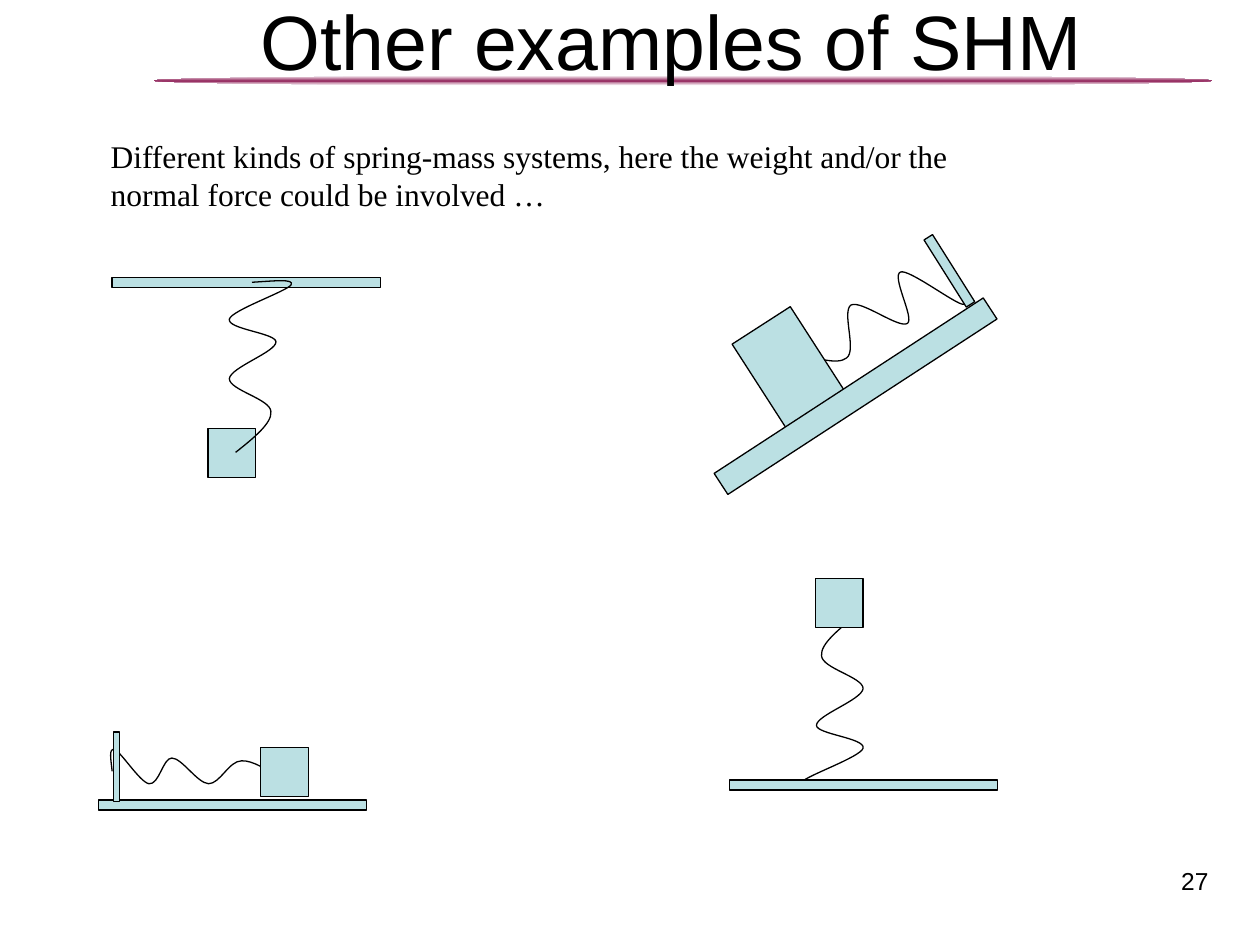
import copy

import pptx
import pptx.dml.color
import pptx.enum.shapes
import pptx.enum.text
import pptx.oxml
import pptx.oxml.ns
import pptx.util

Inches = pptx.util.Inches
Shapes = pptx.enum.shapes.MSO_SHAPE
Align = pptx.enum.text.PP_ALIGN

# Content
TITLE = "Other examples of SHM"
INTRO = ("Different kinds of spring-mass systems, here the weight and/or the "
         "normal force could be involved …")
PAGE_NUMBER = "27"

THEME = {
    "ink": "000000", "body": "BBE0E3", "rule": "993366", "paper": "FFFFFF",
    "heading_font": "Arial", "text_font": "Times New Roman",
    "title": 44, "text": 18, "number": 14, "line": 0.75,
}

# Each system lists its parts from back to front: kind, left, top, width, height, rotation
BEAM = (2.13, 0.08)
MASS = (0.38, 0.39)
COIL = (0.49, 1.35)
SYSTEMS = {
    "incline": [
        ("spring", 6.72, 1.9, *COIL, 56.3),
        ("body", 7.22, 2.11, 0.63, 0.08, 57.8),
        ("body", 5.86, 2.64, 0.79, 0.55, 57.2),
        ("body", 6.69, 1.87, 0.2, 2.55, 56.9),
    ],
    "standing": [
        ("spring", 6.36, 4.88, *COIL, 180),
        ("body", 5.79, 6.19, *BEAM, 0),
        ("body", 6.47, 4.59, *MASS, 0),
    ],
    "floor": [
        ("spring", 1.43, 5.41, 0.27, 1.35, 270),
        ("body", 0.78, 6.35, *BEAM, 0),
        ("body", 0.65, 6.06, 0.55, 0.05, 90),
        ("body", 2.07, 5.93, *MASS, 0),
    ],
    "hanging": [
        ("body", 0.89, 2.2, *BEAM, 0),
        ("body", 1.65, 3.4, *MASS, 0),
        ("spring", 1.82, 2.24, *COIL, 0),
    ],
}

# One spring, from its upper end: start, then (control, control, knot) per bend
SPRING_START = (0.18, 0)
SPRING_BENDS = [
    ((0.35, -0.01), (0.52, -0.03), (0.49, 0.02)),
    ((0.46, 0.07), (0.02, 0.22), (0, 0.29)),
    ((-0.02, 0.37), (0.37, 0.4), (0.37, 0.47)),
    ((0.37, 0.55), (0.01, 0.67), (0, 0.76)),
    ((0, 0.85), (0.33, 0.92), (0.33, 1.02)),
    ((0.34, 1.11), (0.19, 1.23), (0.05, 1.34)),
]


def color(name):
    return pptx.dml.color.RGBColor.from_string(THEME[name])


def inches(point):
    return tuple(Inches(value) for value in point)


def place(shape, left, top, width, height, rotation=0):
    shape.left, shape.top, shape.width, shape.height = inches((left, top, width, height))
    if rotation:
        shape.rotation = rotation


def outline(shape):
    shape.shadow.inherit = False
    shape.line.color.rgb = color("ink")
    shape.line.width = pptx.util.Pt(THEME["line"])


def write(shape, text, font, size, align):
    frame = shape.text_frame
    frame.word_wrap = True
    frame.vertical_anchor = pptx.enum.text.MSO_ANCHOR.TOP
    paragraph = frame.paragraphs[0]
    paragraph.alignment = align
    run = paragraph.add_run()
    run.text = text
    run.font.name = THEME[font]
    run.font.size = pptx.util.Pt(THEME[size])
    run.font.color.rgb = color("ink")


def add_text(slide, box, *style):
    shape = slide.shapes.add_textbox(*inches(box))
    write(shape, *style)


def add_body(slide, *box):
    shape = slide.shapes.add_shape(Shapes.RECTANGLE, *inches(box[:4]))
    place(shape, *box)
    shape.fill.solid()
    shape.fill.fore_color.rgb = color("body")
    outline(shape)


def add_spring(slide, *box):
    builder = slide.shapes.build_freeform(*inches(SPRING_START), scale=1.0)
    builder.add_line_segments([inches(bend[2]) for bend in SPRING_BENDS], close=False)
    shape = builder.convert_to_shape()
    # Turn each straight segment into a curve by adding its two control points
    qn = pptx.oxml.ns.qn
    outline_path = next(shape._element.iter(qn("a:path")))
    for segment, bend in zip(outline_path.findall(qn("a:lnTo")), SPRING_BENDS):
        curve = pptx.oxml.parse_xml(f'<a:cubicBezTo {pptx.oxml.ns.nsdecls("a")}/>')
        knot = segment[0]
        for control in bend[:2]:
            point = copy.deepcopy(knot)
            for axis, value in zip("xy", inches(control)):
                point.set(axis, str(int(value)))
            curve.append(point)
        curve.append(knot)
        outline_path.replace(segment, curve)
    place(shape, *box)
    shape.fill.background()
    outline(shape)


def add_title_rule(slide):
    shape = slide.shapes.add_shape(Shapes.OVAL, *inches((1.22, 0.6, 8.4, 0.08)))
    shape.shadow.inherit = False
    shape.line.fill.background()
    shape.fill.gradient()
    shape.fill.gradient_angle = 90
    stops = next(shape._element.iter(pptx.oxml.ns.qn("a:gsLst")))
    stops.append(copy.deepcopy(stops[-1]))
    for stop, position, name in zip(shape.fill.gradient_stops, (0, 0.5, 1),
                                    ("paper", "rule", "paper")):
        stop.position = position
        stop.color.rgb = color(name)
    # The rule lies behind the title
    slide.shapes.title._element.addprevious(shape._element)


def main():
    presentation = pptx.Presentation()
    presentation.slide_width, presentation.slide_height = inches((10, 7.5))
    slide = presentation.slides.add_slide(presentation.slide_layouts[5])

    # Title and its rule
    title = slide.shapes.title
    place(title, 0.83, -0.16, 9, 1.25)
    write(title, TITLE, "heading_font", "title", Align.CENTER)
    title.text_frame.margin_top = Inches(0.11)
    add_title_rule(slide)

    # Page number
    add_text(slide, (7.36, 6.82, 2.33, 0.45), PAGE_NUMBER,
             "heading_font", "number", Align.RIGHT)

    # Spring-mass systems
    draw = {"body": add_body, "spring": add_spring}
    for parts in SYSTEMS.values():
        for kind, *box in parts:
            draw[kind](slide, *box)

    # Introduction
    add_text(slide, (0.78, 1.04, 7.37, 0.71), INTRO,
             "text_font", "text", Align.LEFT)

    presentation.save("out.pptx")


if __name__ == "__main__":
    main()
